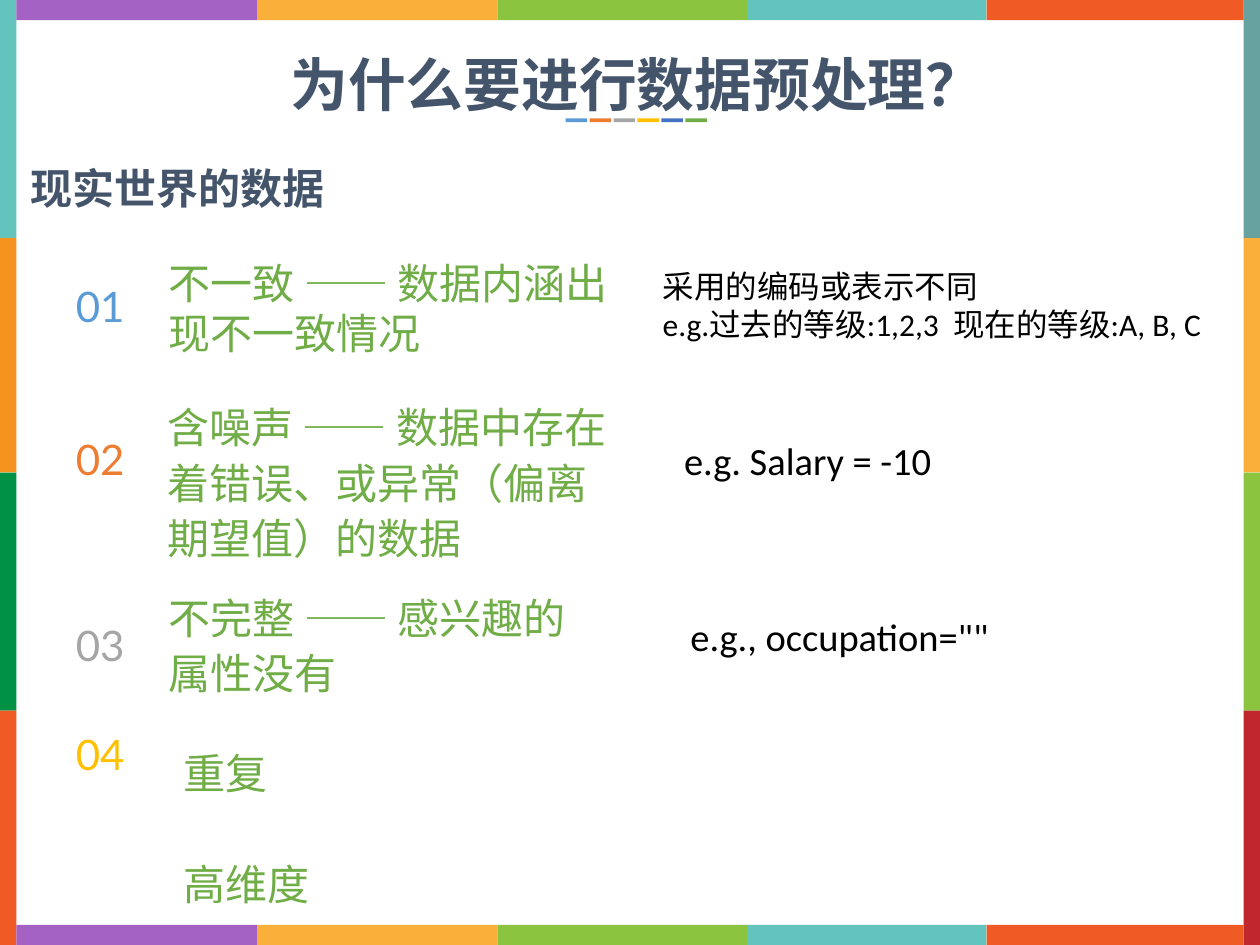
from dataclasses import dataclass
from itertools import pairwise

from pptx import Presentation
from pptx.dml.color import RGBColor
from pptx.enum.shapes import MSO_SHAPE as Shape
from pptx.enum.text import MSO_ANCHOR as Anchor, MSO_AUTO_SIZE as AutoSize, PP_ALIGN as Align
from pptx.util import Inches, Pt

COLORS = {
    "teal": "62C4BC", "orange": "F6921E", "forest": "009145", "flame": "F05A24",
    "slate": "67A1A0", "amber": "FAAF3B", "lime": "8BC53F", "crimson": "C0272D",
    "purple": "A362C4", "navy": "44546A", "black": "000000", "sky": "5B9BD5",
    "rust": "ED7D31", "gray": "A5A5A5", "gold": "FFC000", "blue": "4472C4",
    "green": "70AD47",
}
SIDE_EDGES = [0, 1.89, 3.75, 5.64, 7.5]
BAND_EDGES = [0.13, 2.04, 3.95, 5.93, 7.83, 9.87]
LEFT_SIDE = ["teal", "orange", "forest", "flame"]
RIGHT_SIDE = ["slate", "amber", "lime", "crimson"]
BAND = ["purple", "amber", "lime", "teal", "flame"]
DASHES = ["sky", "rust", "gray", "gold", "blue", "green"]

Box = tuple[float, float, float, float]
NUMBER_INSETS: Box = (0.04, 0.02, 0.04, 0.02)
ITEM_INSETS: Box = (0.04, 0, 0.04, 0.02)
EXAMPLE_INSETS: Box = (0.6, 0.05, 0.1, 0.05)


@dataclass
class Label:
    box: Box
    lines: list[str]
    color: str
    size: float = 24
    font: str = "Calibri"
    bold: bool = False
    align: Align = Align.LEFT
    anchor: Anchor = Anchor.TOP
    insets: Box = (0.1, 0.05, 0.1, 0.05)
    line_spacing: float = 1.0
    gap: float = 0


def rgb(name: str) -> RGBColor:
    return RGBColor.from_string(COLORS[name])


def add_bar(shapes, box: Box, color: str) -> None:
    sp = shapes.add_shape(Shape.RECTANGLE, *map(Inches, box))
    sp.shadow.inherit = False
    sp.fill.solid()
    sp.fill.fore_color.rgb = rgb(color)
    sp.line.fill.background()


def write_label(sp, label: Label) -> None:
    sp.left, sp.top, sp.width, sp.height = map(Inches, label.box)
    tf = sp.text_frame
    left, top, right, bottom = map(Inches, label.insets)
    frame_format = {
        "word_wrap": True, "auto_size": AutoSize.NONE, "vertical_anchor": label.anchor,
        "margin_left": left, "margin_top": top,
        "margin_right": right, "margin_bottom": bottom,
    }
    for name, value in frame_format.items():
        setattr(tf, name, value)
    font_format = {"name": label.font, "size": Pt(label.size), "bold": label.bold}
    for i, line in enumerate(label.lines):
        p = tf.add_paragraph() if i else tf.paragraphs[0]
        p.alignment = label.align
        p.line_spacing = label.line_spacing
        p.space_before = Pt(label.gap if i else 0)
        r = p.add_run()
        r.text = line
        for name, value in font_format.items():
            setattr(r.font, name, value)
        r.font.color.rgb = rgb(label.color)


def number(text: str, top: float, color: str) -> Label:
    return Label((0.44, top, 0.71, 0.44), [text], color, font="Lato",
                 align=Align.CENTER, anchor=Anchor.MIDDLE, insets=NUMBER_INSETS)


def item(box: Box, lines: list[str], line_spacing: float = 1.1, gap: float = 0) -> Label:
    return Label(box, lines, "green", insets=ITEM_INSETS,
                 line_spacing=line_spacing, gap=gap)


def example(box: Box, lines: list[str], size: float = 22) -> Label:
    return Label(box, lines, "black", size, insets=EXAMPLE_INSETS)


TITLE = Label((0.76, 0.34, 8.59, 0.66), ["为什么要进行数据预处理？"], "navy", 33,
              "Lato", True, Align.CENTER)
LABELS = [
    Label((0.04, 1.24, 2.77, 0.51), ["现实世界的数据"], "navy", bold=True,
          insets=(0.2, 0.05, 0.2, 0.05)),
    number("01", 2.21, "sky"),
    item((1.3, 2.04, 3.77, 0.83), ["不一致 —— 数据内涵出现不一致情况"], 1.0),
    example((4.66, 2.07, 5, 0.71),
            ["采用的编码或表示不同", "e.g.过去的等级:1,2,3  现在的等级:A, B, C"], 18),
    number("02", 3.42, "rust"),
    item((1.29, 3.15, 3.59, 1.35), ["含噪声 —— 数据中存在着错误、或异常（偏离期望值）的数据"]),
    example((4.83, 3.42, 5, 0.47), ["e.g. Salary = -10"]),
    number("03", 4.9, "gray"),
    item((1.3, 4.66, 3.55, 0.91), ["不完整 —— 感兴趣的属性没有"]),
    example((4.88, 4.82, 3.1, 0.47), ['e.g., occupation=""']),
    number("04", 5.76, "gold"),
    item((1.42, 5.89, 1.66, 1.35), ["重复", "高维度"], gap=32),
]


def main() -> None:
    prs = Presentation()
    prs.slide_width, prs.slide_height = Inches(10), Inches(7.5)
    s = prs.slides.add_slide(prs.slide_layouts[5])
    for x, colors in ((0, LEFT_SIDE), (9.87, RIGHT_SIDE)):
        for (start, end), color in zip(pairwise(SIDE_EDGES), colors):
            add_bar(s.shapes, (x, start, 0.13, end - start), color)
    for y in (0, 7.34):
        for (start, end), color in zip(pairwise(BAND_EDGES), BAND):
            add_bar(s.shapes, (start, y, end - start, 0.16), color)
    write_label(s.shapes.title, TITLE)
    for i, color in enumerate(DASHES):
        add_bar(s.shapes, (4.49 + 0.19 * i, 0.94, 0.17, 0.03), color)
    for label in LABELS:
        write_label(s.shapes.add_textbox(*map(Inches, label.box)), label)
    prs.save("out.pptx")


if __name__ == "__main__":
    main()
